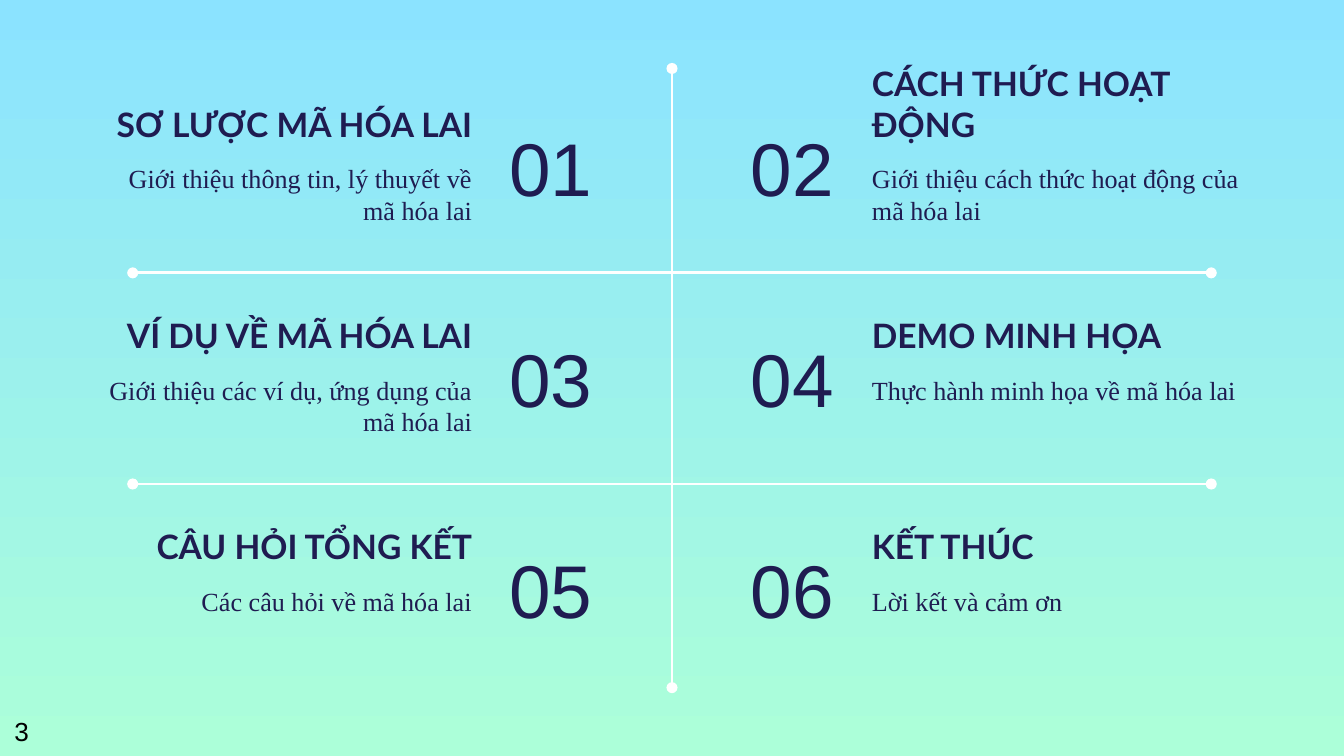
from dataclasses import dataclass

from lxml import etree
from pptx import Presentation
from pptx.dml.color import RGBColor
from pptx.enum.shapes import MSO_CONNECTOR
from pptx.enum.text import MSO_ANCHOR, PP_ALIGN
from pptx.oxml.ns import qn
from pptx.slide import Slide
from pptx.util import Pt

LEFT, RIGHT = PP_ALIGN.LEFT, PP_ALIGN.RIGHT
TOP, MIDDLE, BOTTOM = MSO_ANCHOR.TOP, MSO_ANCHOR.MIDDLE, MSO_ANCHOR.BOTTOM
STRAIGHT = MSO_CONNECTOR.STRAIGHT

COLORS = {
    "sky": "8BE3FF",
    "mint": "ACFFD9",
    "navy": "1F1C51",
    "white": "FFFFFF",
    "black": "000000",
}
ROW_PITCH = 113.1


@dataclass(frozen=True)
class Style:
    font: dict
    color: str
    anchor: MSO_ANCHOR
    inset: float = 7.2


@dataclass(frozen=True)
class Box:
    x: float
    y: float
    w: float
    h: float


@dataclass(frozen=True)
class Topic:
    title: str
    detail: str


@dataclass(frozen=True)
class Column:
    number_x: float
    text_x: float
    number_align: PP_ALIGN
    text_align: PP_ALIGN


NUMBER = Style({"name": "Arial", "size": Pt(40)}, "navy", MIDDLE)
TITLE = Style({"name": "Lato", "size": Pt(18), "bold": True}, "navy", BOTTOM)
DETAIL = Style({"name": "Times New Roman", "size": Pt(14)}, "navy", TOP)
PAGE = Style({"name": "Arial", "size": Pt(14)}, "black", TOP, 3.6)

COLUMNS = [
    Column(265.8, 45.4, LEFT, RIGHT),
    Column(360, 460, RIGHT, LEFT),
]
TOPICS = [
    Topic("SƠ LƯỢC MÃ HÓA LAI", "Giới thiệu thông tin, lý thuyết về mã hóa lai"),
    Topic("CÁCH THỨC HOẠT ĐỘNG", "Giới thiệu cách thức hoạt động của mã hóa lai"),
    Topic("VÍ DỤ VỀ MÃ HÓA LAI", "Giới thiệu các ví dụ, ứng dụng của mã hóa lai"),
    Topic("DEMO MINH HỌA", "Thực hành minh họa về mã hóa lai"),
    Topic("CÂU HỎI TỔNG KẾT", "Các câu hỏi về mã hóa lai"),
    Topic("KẾT THÚC", "Lời kết và cảm ơn"),
]


def rgb(name: str) -> RGBColor:
    return RGBColor.from_string(COLORS[name])


def add_text(slide: Slide, text: str, box: Box, style: Style, align: PP_ALIGN) -> None:
    sp = slide.shapes.add_textbox(Pt(box.x), Pt(box.y), Pt(box.w), Pt(box.h))
    tf = sp.text_frame
    frame_format = {
        "word_wrap": True,
        "vertical_anchor": style.anchor,
        "margin_left": Pt(7.2),
        "margin_right": Pt(7.2),
        "margin_top": Pt(style.inset),
        "margin_bottom": Pt(style.inset),
    }
    for key, value in frame_format.items():
        setattr(tf, key, value)
    p = tf.paragraphs[0]
    p.alignment = align
    r = p.add_run()
    r.text = text
    for key, value in style.font.items():
        setattr(r.font, key, value)
    r.font.color.rgb = rgb(style.color)


def add_divider(slide: Slide, x1: float, y1: float, x2: float, y2: float) -> None:
    sp = slide.shapes.add_connector(STRAIGHT, Pt(x1), Pt(y1), Pt(x2), Pt(y2))
    sp.line.color.rgb = rgb("white")
    sp.line.width = Pt(1.5)
    ln = sp.line._get_or_add_ln()
    for end in ("a:headEnd", "a:tailEnd"):
        etree.SubElement(ln, qn(end), type="oval")
    etree.SubElement(sp._element.spPr, qn("a:effectLst"))


def add_topic(slide: Slide, index: int, topic: Topic) -> None:
    row, side = divmod(index, 2)
    col = COLUMNS[side]
    y = row * ROW_PITCH
    number_box = Box(col.number_x, 58.3 + y, 93.6, 61.9)
    title_box = Box(col.text_x, 48.4 + y, 214.6, 36)
    detail_box = Box(col.text_x, 80 + y, 214.6, 49.7)
    add_text(slide, f"{index + 1:02}", number_box, NUMBER, col.number_align)
    add_text(slide, topic.title, title_box, TITLE, col.text_align)
    add_text(slide, topic.detail, detail_box, DETAIL, col.text_align)


def main() -> None:
    prs = Presentation()
    prs.slide_width, prs.slide_height = Pt(720), Pt(405)
    slide = prs.slides.add_slide(prs.slide_layouts[6])

    fill = slide.background.fill
    fill.gradient()
    fill.gradient_angle = 270
    for stop, name in zip(fill.gradient_stops, ("sky", "mint")):
        stop.color.rgb = rgb(name)

    add_divider(slide, 360, 36.7, 360, 368.4)
    for row in range(2):
        y = 146.2 + row * ROW_PITCH
        add_divider(slide, 71.1, y, 648.9, y)
    for index, topic in enumerate(TOPICS):
        add_topic(slide, index, topic)
    add_text(slide, "3", Box(0.6, 379.6, 23, 24.2), PAGE, LEFT)

    prs.save("out.pptx")


if __name__ == "__main__":
    main()
